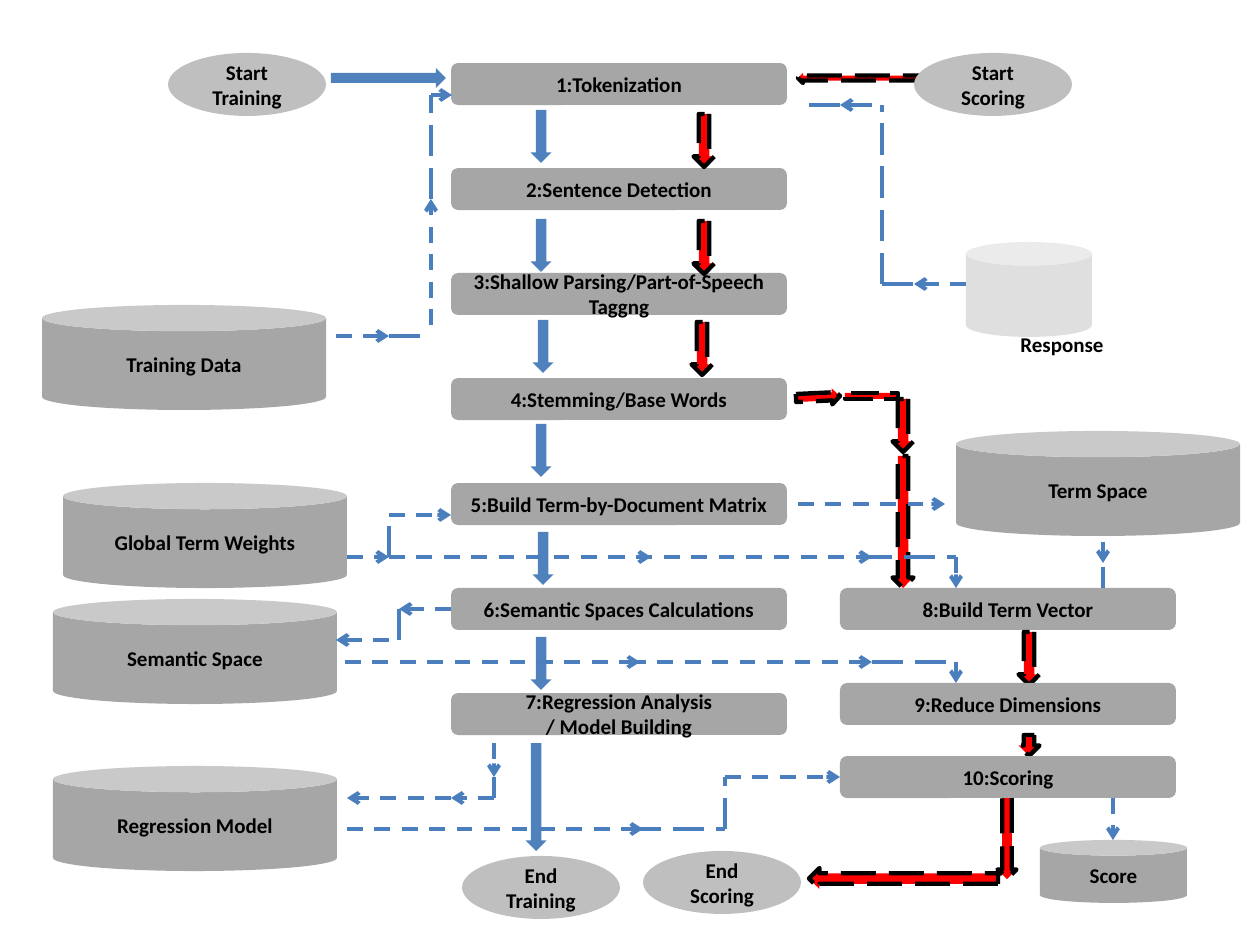
from lxml import etree
from pptx import Presentation
from pptx.dml.color import RGBColor
from pptx.enum.dml import MSO_LINE
from pptx.enum.shapes import MSO_CONNECTOR, MSO_SHAPE
from pptx.enum.text import MSO_ANCHOR, PP_ALIGN
from pptx.oxml.ns import qn
from pptx.util import Pt

BOX, CAN, OVAL = MSO_SHAPE.ROUNDED_RECTANGLE, MSO_SHAPE.CAN, MSO_SHAPE.OVAL
ARROW, RECT = MSO_SHAPE.RIGHT_ARROW, MSO_SHAPE.RECTANGLE
DASH, LONG_DASH = MSO_LINE.DASH, MSO_LINE.LONG_DASH
STRAIGHT = MSO_CONNECTOR.STRAIGHT
CENTER, MIDDLE = PP_ALIGN.CENTER, MSO_ANCHOR.MIDDLE

PX = 914400 / 126
COLORS = {
    "step": "A6A6A6",
    "terminal": "BFBFBF",
    "training": "4F81BD",
    "scoring": "FF0000",
    "data": "4B7EBC",
    "ink": "000000",
}
RGB = {name: RGBColor.from_string(value) for name, value in COLORS.items()}
FONT = {"name": "Calibri", "size": Pt(12), "bold": True}

prs = Presentation()
prs.slide_width, prs.slide_height = round(1260 * PX), round(945 * PX)
s = prs.slides.add_slide(prs.slide_layouts[6])


def set_text(tf, text, align):
    tf.text = text
    for p in tf.paragraphs:
        p.alignment = align
        for r in p.runs:
            for key, value in FONT.items():
                setattr(r.font, key, value)
            r.font.color.rgb = RGB["ink"]


def add_block(kind, x, y, w, h, fill, text="", rotation=0, outline=2.5):
    sp = s.shapes.add_shape(kind, *[round(v * PX) for v in (x, y, w, h)])
    sp.shadow.inherit = False
    sp.rotation = rotation
    sp.fill.solid()
    sp.fill.fore_color.rgb = RGB[fill]
    if fill == "scoring":
        sp.line.color.rgb = RGB["ink"]
        for key, value in {"width": Pt(outline), "dash_style": LONG_DASH}.items():
            setattr(sp.line, key, value)
    else:
        sp.line.fill.background()
    if text:
        sp.text_frame.vertical_anchor = MIDDLE
        set_text(sp.text_frame, text, CENTER)
    return sp


training_steps = [
    "1:Tokenization",
    "2:Sentence Detection",
    "3:Shallow Parsing/Part-of-Speech Taggng",
    "4:Stemming/Base Words",
    "5:Build Term-by-Document Matrix",
    "6:Semantic Spaces Calculations",
    "7:Regression Analysis\n/ Model Building",
]
for i, text in enumerate(training_steps):
    add_block(BOX, 451, 63 + 105 * i, 336, 42, "step", text)
add_block(BOX, 840, 588, 336, 42, "step", "8:Build Term Vector")

down_arrows = {
    "training": [
        (541, 110, 53, 21), (541, 219, 53, 21), (543, 320, 53, 21),
        (541, 424, 53, 21), (543, 532, 53, 21), (541, 637, 53, 21),
        (536, 743, 108, 21),
    ],
    "scoring": [
        (704, 114, 53, 21), (704, 221, 53, 21), (702, 322, 53, 21),
        (903, 399, 53, 21), (903, 456, 132, 21), (1029, 632, 53, 21),
        (1029, 735, 21, 21), (1007, 798, 81, 19),
    ],
}
for fill, arrows in down_arrows.items():
    for cx, top, length, thick in arrows:
        add_block(ARROW, cx - length / 2, top + (length - thick) / 2,
                  length, thick, fill, rotation=90)

side_arrows = [
    (331, 68, 115, 20, "training", 0),
    (798, 73, 126, 10, "scoring", 180),
    (809, 868, 189, 21, "scoring", 180),
    (796, 389, 44, 16, "scoring", 357.3),
]
for x, y, w, h, fill, rotation in side_arrows:
    add_block(ARROW, x, y, w, h, fill, rotation=rotation)
add_block(RECT, 845, 393, 53, 6, "scoring", outline=2)

for x, y, text in [(840, 683, "9:Reduce Dimensions"), (840, 756, "10:Scoring")]:
    add_block(BOX, x, y, 336, 42, "step", text)

terminals = [
    (168, 53, "Start Training"), (462, 856, "End Training"),
    (914, 53, "Start Scoring"), (643, 851, "End Scoring"),
]
for x, y, text in terminals:
    add_block(OVAL, x, y, 158, 63, "terminal", text)

stores = [
    (42, 305, 284, 105, "Training Data"),
    (63, 483, 284, 105, "Global Term Weights"),
    (53, 599, 284, 105, "Semantic Space"),
    (53, 766, 284, 105, "Regression Model"),
    (956, 431, 284, 105, "Term Space"),
    (1040, 840, 147, 63, "Score"),
]
for x, y, w, h, text in stores:
    add_block(CAN, x, y, w, h, "step", text)

response = add_block(CAN, 966, 242, 126, 95, "terminal")
clr = response._element.spPr.find(qn("a:solidFill"))[0]
etree.SubElement(clr, qn("a:alpha"), val="49000")
tb = s.shapes.add_textbox(*[round(v * PX) for v in (1008, 325, 110, 38)])
tb.text_frame.word_wrap = False
set_text(tb.text_frame, "Response", None)

data_flows = {
    DASH: [
        (336, 336, 389, 336), (347, 557, 389, 557), (494, 743, 494, 777),
        (431, 325, 431, 199), (431, 95, 452, 95), (494, 798, 451, 798),
        (451, 798, 347, 798), (389, 515, 451, 515), (798, 504, 945, 504),
        (1113, 798, 1113, 840), (389, 557, 651, 557), (956, 557, 956, 588),
        (451, 609, 399, 609), (389, 640, 336, 640), (630, 662, 872, 662),
        (956, 662, 956, 683), (345, 662, 640, 662), (609, 557, 872, 557),
        (966, 284, 914, 284), (872, 105, 840, 105), (347, 829, 643, 829),
        (725, 777, 840, 777), (1103, 542, 1103, 563),
    ],
    LONG_DASH: [
        (872, 662, 956, 662), (861, 557, 956, 557), (399, 640, 399, 609),
        (389, 557, 389, 525), (494, 798, 494, 777), (431, 199, 431, 95),
        (389, 336, 431, 336), (882, 284, 882, 105), (882, 284, 924, 284),
        (809, 105, 861, 105), (630, 829, 725, 829), (725, 829, 725, 777),
        (1103, 588, 1103, 567),
    ],
}
for dash, flows in data_flows.items():
    for ends in flows:
        c = s.shapes.add_connector(STRAIGHT, *[round(v * PX) for v in ends])
        c.line.color.rgb = RGB["data"]
        for key, value in {"width": Pt(2.25), "dash_style": dash}.items():
            setattr(c.line, key, value)
        if dash == DASH:
            etree.SubElement(c.line._get_or_add_ln(), qn("a:tailEnd"), type="arrow")
        etree.SubElement(c._element.spPr, qn("a:effectLst"))

prs.save("out.pptx")
